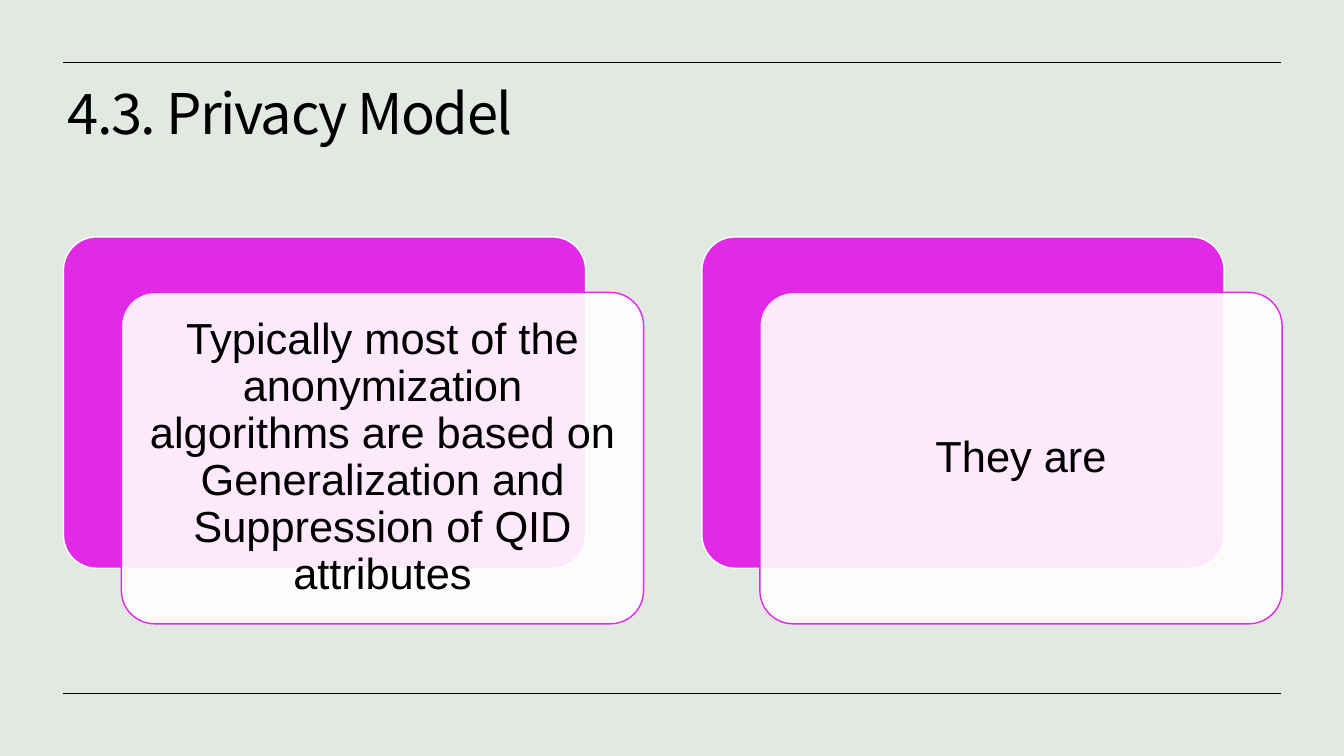
from lxml.etree import SubElement
from pptx import Presentation
from pptx.dml.color import RGBColor
from pptx.enum.shapes import MSO_CONNECTOR, MSO_SHAPE
from pptx.enum.text import MSO_ANCHOR, PP_ALIGN
from pptx.oxml.ns import qn
from pptx.util import Cm, Pt

SAGE = RGBColor(0xE2, 0xE8, 0xE2)
MAGENTA = RGBColor(0xE2, 0x29, 0xE7)
WHITE = RGBColor(0xFF, 0xFF, 0xFF)
BLACK = RGBColor(0x00, 0x00, 0x00)

STATEMENTS = [
    "Typically most of the anonymization algorithms are based on "
    "Generalization and Suppression of QID attributes",
    "They are",
]


def style_run(paragraph, font_name, size):
    paragraph.line_spacing = 0.9
    font = paragraph.runs[0].font
    font.name = font_name
    font.size = Pt(size)
    font.color.rgb = BLACK
    return font


def add_rule(slide, left, top, width):
    rule = slide.shapes.add_connector(
        MSO_CONNECTOR.STRAIGHT, left + width, top, left, top)
    rule.line.color.rgb = BLACK
    rule.line.width = Pt(0.5)
    SubElement(rule._element.spPr, qn("a:effectLst"))


def add_title(slide, left, top, width, height):
    title = slide.shapes.add_textbox(left, top, width, height)
    frame = title.text_frame
    frame.word_wrap = True
    frame.margin_top = 0
    frame.text = "4.3. Privacy Model"
    font = style_run(frame.paragraphs[0], "Noto Sans CJK KR", 40)
    properties = font._element
    properties.set("spc", "-100")
    SubElement(properties, qn("a:ea")).set("typeface", "Noto Sans CJK KR")


def add_panel(slide, left, top, width, height, fill, outline):
    panel = slide.shapes.add_shape(
        MSO_SHAPE.ROUNDED_RECTANGLE, left, top, width, height)
    panel.adjustments[0] = 0.1
    panel.shadow.inherit = False
    panel.fill.solid()
    panel.fill.fore_color.rgb = fill
    panel.line.color.rgb = outline
    panel.line.width = Pt(1)
    return panel


def add_card(slide, left, top, width, height, statement):
    shift_x, shift_y = Cm(1.46), Cm(1.4)
    panel_size = width - shift_x, height - shift_y
    add_panel(slide, left, top, *panel_size, MAGENTA, WHITE)
    front = add_panel(slide, left + shift_x, top + shift_y, *panel_size,
                      WHITE, MAGENTA)
    colour = front.fill._xPr.find(qn("a:solidFill"))[0]
    SubElement(colour, qn("a:alpha")).set("val", "90000")

    frame = front.text_frame
    frame.word_wrap = True
    frame.vertical_anchor = MSO_ANCHOR.MIDDLE
    frame.margin_left = frame.margin_right = Cm(0.33)
    frame.margin_top = frame.margin_bottom = Cm(0.33)
    frame.text = statement
    paragraph = frame.paragraphs[0]
    paragraph.alignment = PP_ALIGN.CENTER
    style_run(paragraph, "Arial", 31)


def add_cards(slide, left, top, width, height):
    gap = Cm(1.47)
    card_width = (width - gap * (len(STATEMENTS) - 1)) // len(STATEMENTS)
    for index, statement in enumerate(STATEMENTS):
        add_card(slide, left + index * (card_width + gap), top,
                 card_width, height, statement)


def main():
    presentation = Presentation()
    presentation.slide_width = Cm(33.87)
    presentation.slide_height = Cm(19.05)
    slide = presentation.slides.add_slide(presentation.slide_layouts[6])
    slide.background.fill.solid()
    slide.background.fill.fore_color.rgb = SAGE

    add_title(slide, Cm(1.45), Cm(2.18), Cm(30.86), Cm(2.92))
    for rule_top in (Cm(1.58), Cm(17.47)):
        add_rule(slide, Cm(1.58), rule_top, Cm(30.71))
    add_cards(slide, Cm(1.6), Cm(5.97), Cm(30.71), Cm(9.75))

    presentation.save("out.pptx")


if __name__ == "__main__":
    main()
